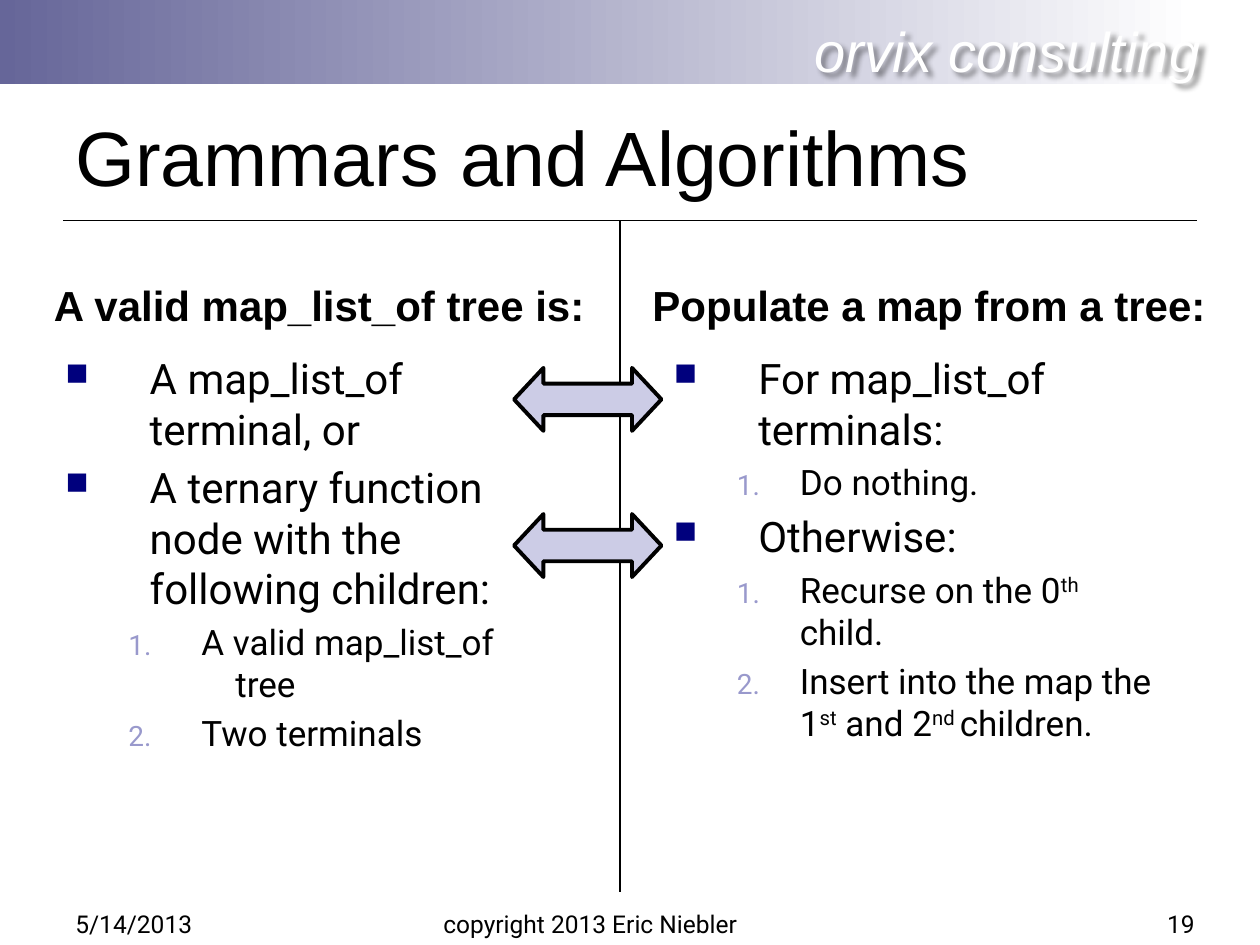
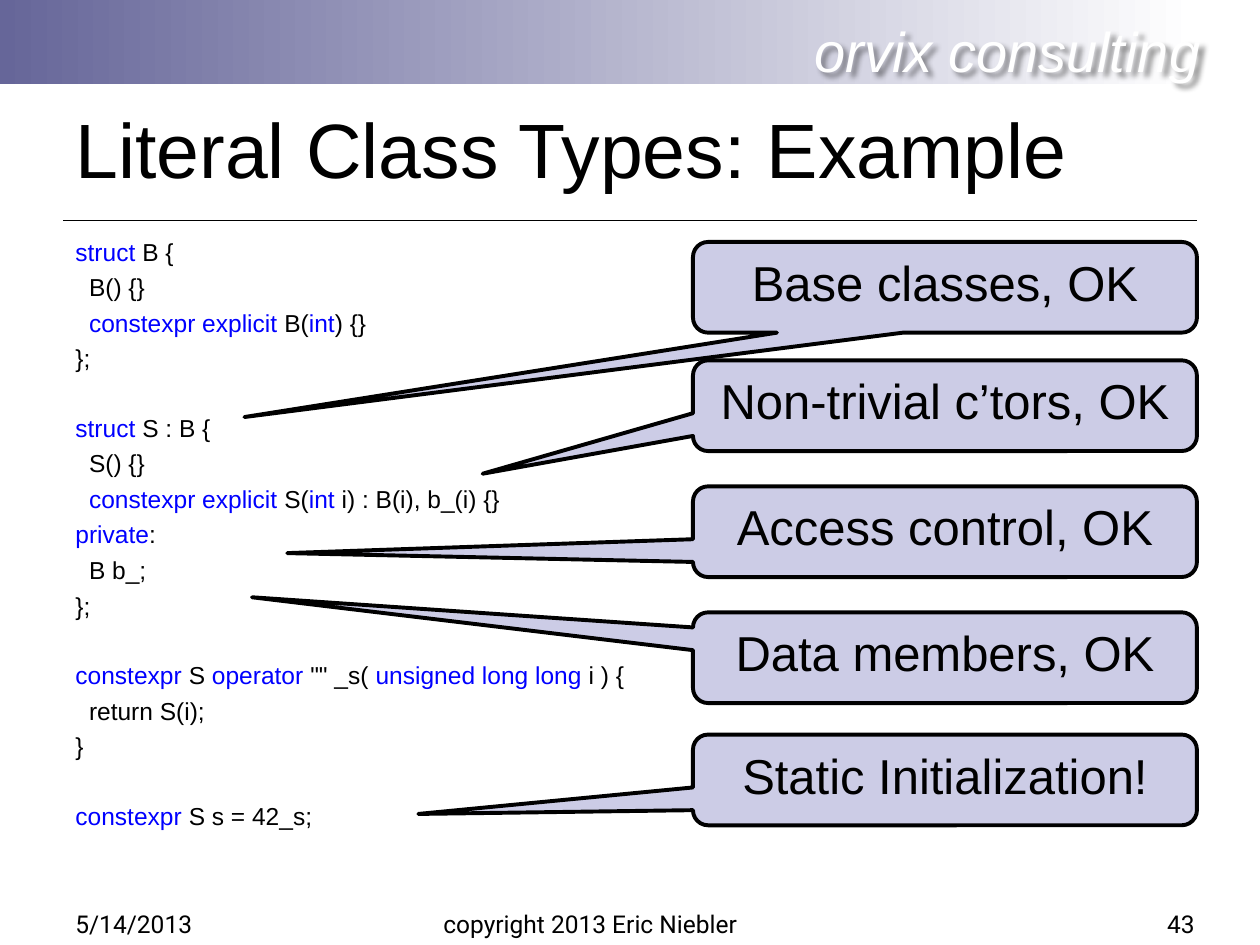
from lxml import etree
from pptx import Presentation
from pptx.dml.color import RGBColor
from pptx.enum.shapes import MSO_CONNECTOR, MSO_SHAPE
from pptx.enum.text import MSO_ANCHOR, PP_ALIGN
from pptx.oxml import parse_xml
from pptx.oxml.ns import nsdecls, qn
from pptx.util import Inches, Pt

LINE = MSO_CONNECTOR.STRAIGHT
RECT = MSO_SHAPE.RECTANGLE
ARROW = MSO_SHAPE.LEFT_RIGHT_ARROW
CALLOUT = MSO_SHAPE.ROUNDED_RECTANGULAR_CALLOUT
TOP, MIDDLE, BOTTOM = MSO_ANCHOR.TOP, MSO_ANCHOR.MIDDLE, MSO_ANCHOR.BOTTOM
LEFT, CENTER, RIGHT = PP_ALIGN.LEFT, PP_ALIGN.CENTER, PP_ALIGN.RIGHT

BLACK = RGBColor(0x00, 0x00, 0x00)
WHITE = RGBColor(0xFF, 0xFF, 0xFF)
SLATE = RGBColor(0x66, 0x66, 0x99)
LAVENDER = RGBColor(0xCC, 0xCC, 0xE6)
NAVY = RGBColor(0x00, 0x00, 0x7D)
LILAC = RGBColor(0x99, 0x99, 0xCC)
KEYWORD = RGBColor(0x00, 0x00, 0xFF)

HEAD_FONT, BODY_FONT = "Arial", "Roboto"

# List items are (kind, text); ^ encloses superscripts.
TREE_RULES = [
    ("bullet", "A map_list_of terminal, or"),
    ("bullet", "A ternary function node with the following children:"),
    ("number", "A valid map_list_of"),
    ("more", "tree"),
    ("number", "Two terminals"),
]
MAP_STEPS = [
    ("bullet", "For map_list_of terminals:"),
    ("number", "Do nothing."),
    ("bullet", "Otherwise:"),
    ("number", "Recurse on the 0^th^ child."),
    ("number", "Insert into the map the 1^st^ and 2^nd ^children."),
]

# | encloses keywords.
CODE = """|struct |B {
  B() {}
  |constexpr explicit |B(|int|) {}
};

|struct |S : B {
  S() {}
  |constexpr explicit |S(|int |i) : B(i), b_(i) {}
|private|:
  B b_;
};

|constexpr |S |operator| "" _s( |unsigned long long |i ) {
  return S(i);
}

|constexpr |S s = 42_s;"""

# Text, top of the box, tip of the tail
CALLOUTS = [
    ("Base classes, OK", 1.92, (1.94, 3.31)),
    ("Non-trivial c’tors, OK", 2.86, (3.83, 3.76)),
    ("Access control, OK", 3.86, (2.28, 4.39)),
    ("Data members, OK", 4.86, (2.0, 4.74)),
    ("Static Initialization!", 5.83, (3.32, 6.46)),
]


def style(font, size, name=HEAD_FONT, color=BLACK, bold=False, italic=False):
    font.size, font.name = Pt(size), name
    font.bold, font.italic = bold, italic
    font.color.rgb = color


def add_text(s, box, text, size, name=HEAD_FONT, anchor=MIDDLE, align=LEFT, **look):
    sp = s.shapes.add_textbox(*map(Inches, box))
    tf = sp.text_frame
    tf.word_wrap = True
    tf.vertical_anchor = anchor
    p = tf.paragraphs[0]
    p.text, p.alignment = text, align
    style(p.runs[0].font, size, name, **look)
    return sp


def add_marked_runs(p, text, mark):
    """Add the runs of text and yield each with whether marks enclose it."""
    for i, part in enumerate(text.split(mark)):
        if part:
            r = p.add_run()
            r.text = part
            yield r, i % 2 == 1


def add_line(s, x1, y1, x2, y2, width):
    ln = s.shapes.add_connector(LINE, *map(Inches, (x1, y1, x2, y2)))
    ln.line.color.rgb = BLACK
    ln.line.width = Pt(width)
    etree.SubElement(ln._element.spPr, qn("a:effectLst"))


def add_outlined(s, kind, box, adjustments):
    sp = s.shapes.add_shape(kind, *map(Inches, box))
    sp.shadow.inherit = False
    sp.fill.solid()
    sp.fill.fore_color.rgb = LAVENDER
    sp.line.color.rgb = BLACK
    sp.line.width = Pt(2.25)
    for i, value in enumerate(adjustments):
        sp.adjustments[i] = value
    return sp


def add_banner(s):
    band = s.shapes.add_shape(RECT, 0, 0, Inches(9.5), Inches(0.67))
    band.shadow.inherit = False
    band.line.fill.background()
    band.fill.gradient()
    band.fill.gradient_angle = 0
    for stop, position, color in zip(band.fill.gradient_stops, (0, 1), (SLATE, WHITE)):
        stop.position, stop.color.rgb = position, color
    name = add_text(s, (5.92, 0.08, 3.83, 0.64), "orvix consulting", 32,
                    anchor=TOP, align=RIGHT, color=WHITE, italic=True)
    name.text_frame.margin_right = Inches(0.22)
    name._element.spPr.append(parse_xml(
        f'<a:effectLst {nsdecls("a")}><a:outerShdw blurRad="38100" dist="38100" '
        'dir="2700000"><a:srgbClr val="000000"><a:alpha val="43000"/></a:srgbClr>'
        '</a:outerShdw></a:effectLst>'))


def add_footer(s, number):
    for box, text, align in [((0.5, 7, 1.33, 0.5), "5/14/2013", LEFT),
                             ((3.42, 7, 3.17, 0.5), "copyright 2013 Eric Niebler", LEFT),
                             ((8.25, 6.98, 1.33, 0.52), number, RIGHT)]:
        add_text(s, box, text, 14, BODY_FONT, BOTTOM, align)


def new_slide(prs, title, title_box, number):
    s = prs.slides.add_slide(prs.slide_layouts[6])
    add_line(s, 0.5, 1.75, 9.5, 1.75, 0.75)
    add_banner(s)
    add_text(s, title_box, title, 44)
    add_footer(s, number)
    return s


def set_bullet(p, margin, hang, color, percent, bullet):
    pPr = p._p.get_or_add_pPr()
    pPr.set("marL", str(Inches(margin)))
    pPr.set("indent", str(Inches(-hang)))
    for xml in (f'<a:buClr {nsdecls("a")}><a:srgbClr val="{color}"/></a:buClr>',
                f'<a:buSzPct {nsdecls("a")} val="{percent * 1000}"/>',
                f'<a:{bullet} {nsdecls("a")}/>'):
        pPr.append(parse_xml(xml))


def add_list(s, box, items, margin, hang):
    """Margin and hang are those of the numbered level."""
    tf = s.shapes.add_textbox(*map(Inches, box)).text_frame
    tf.word_wrap = True
    number = 0
    for i, (kind, text) in enumerate(items):
        p = tf.paragraphs[0] if i == 0 else tf.add_paragraph()
        size = 24 if kind == "bullet" else 20
        if kind == "bullet":
            number = 0
            set_bullet(p, 0.67, 0.67, NAVY, 75, 'buChar char="■"')
        else:
            p.level = 1
            if kind == "number":
                number += 1
                set_bullet(p, margin, hang, LILAC, 80,
                           f'buAutoNum type="arabicPeriod" startAt="{number}"')
            else:
                set_bullet(p, margin + 0.27, 0, LILAC, 80, "buNone")
        if i and kind != "more":
            p.space_before = Pt(0.2 * size)
        for r, raised in add_marked_runs(p, text, "^"):
            style(r.font, size, BODY_FONT)
            if raised:
                r._r.get_or_add_rPr().set("baseline", "30000")


def add_code(s, box):
    tf = s.shapes.add_textbox(*map(Inches, box)).text_frame
    tf.word_wrap = True
    p = tf.paragraphs[0]
    for b, block in enumerate(CODE.split("\n\n")):
        for i, line in enumerate(block.split("\n")):
            if b or i:
                p = tf.add_paragraph()
                p.space_before = Pt(3.5 if i else 23)
            for r, is_keyword in add_marked_runs(p, line, "|"):
                style(r.font, 14, color=KEYWORD if is_keyword else BLACK)


def add_callout(s, box, text, tip):
    x, y, w, h = box
    tail = (tip[0] - x - w / 2) / w, (tip[1] - y - h / 2) / h
    sp = add_outlined(s, CALLOUT, box, (*tail, 0.167))
    tf = sp.text_frame
    tf.word_wrap = True
    tf.vertical_anchor = TOP
    p = tf.paragraphs[0]
    p.text, p.alignment = text, CENTER
    style(p.runs[0].font, 28)


def grammars_slide(prs):
    s = new_slide(prs, "Grammars and Algorithms", (0.5, 0.92, 9, 0.63), "19")
    add_text(s, (0.33, 2.17, 4.58, 0.5), "A valid map_list_of tree is:", 24, bold=True)
    add_list(s, (0.42, 2.75, 4, 3.31), TREE_RULES, 1.08, 0.58)
    add_line(s, 4.92, 1.75, 4.92, 7.08, 1)
    add_text(s, (5.08, 2.17, 4.75, 0.5), "Populate a map from a tree:", 24, bold=True)
    add_list(s, (5.25, 2.75, 4, 3.61), MAP_STEPS, 1, 0.5)
    for y in (2.92, 4.08):
        add_outlined(s, ARROW, (4.08, y, 1.17, 0.5), (0.5, 0.467))


def literal_types_slide(prs):
    s = new_slide(prs, "Literal Class Types: Example", (0.5, 0.67, 9, 1), "43")
    add_code(s, (0.5, 1.83, 9.08, 5.17))
    for text, y, tip in reversed(CALLOUTS):
        add_callout(s, (5.5, y, 4, 0.72), text, tip)


def main():
    prs = Presentation()
    prs.slide_width, prs.slide_height = Inches(10), Inches(7.5)
    grammars_slide(prs)
    literal_types_slide(prs)
    prs.save("out.pptx")


if __name__ == "__main__":
    main()
